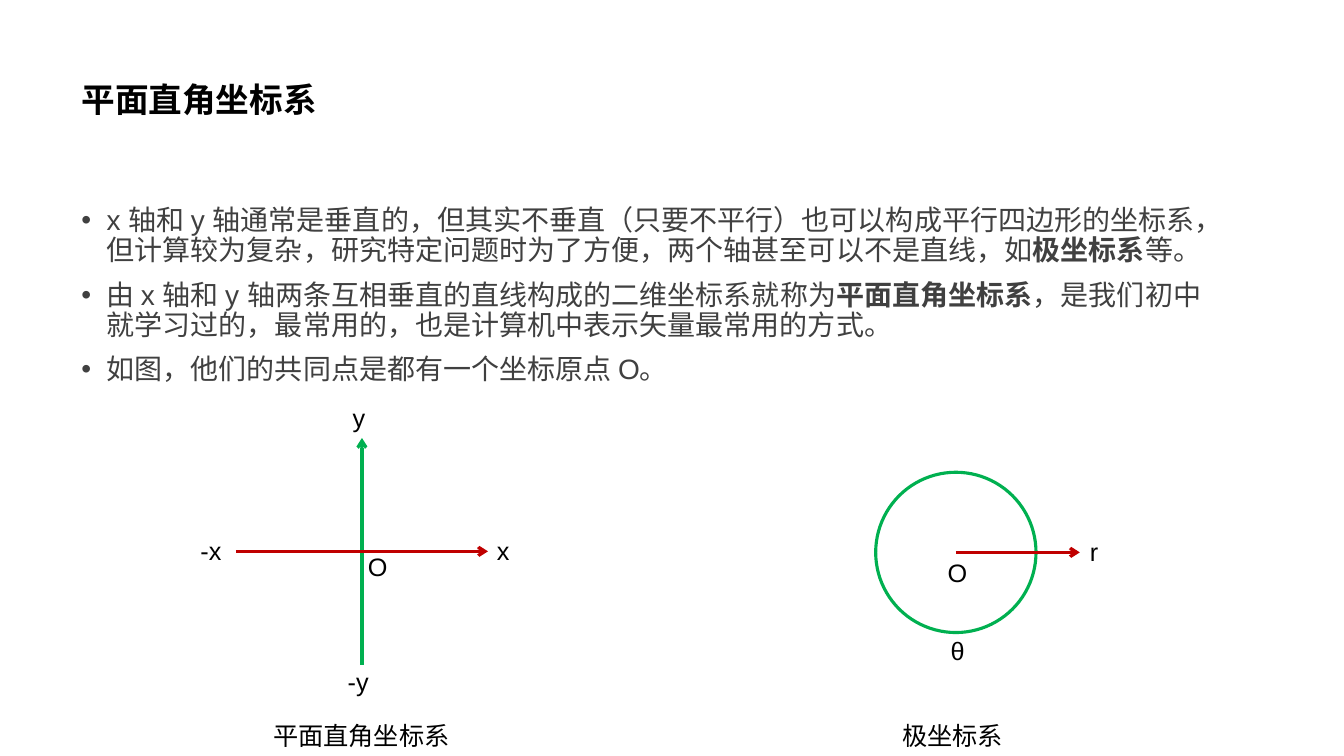
from pptx import Presentation
from pptx.util import Inches, Pt
from pptx.dml.color import RGBColor
from pptx.enum.shapes import MSO_CONNECTOR, MSO_SHAPE
from pptx.enum.text import MSO_ANCHOR
from pptx.oxml.ns import qn
from lxml import etree

STRAIGHT, ELLIPSE = MSO_CONNECTOR.STRAIGHT, MSO_SHAPE.OVAL
TOP, MIDDLE = MSO_ANCHOR.TOP, MSO_ANCHOR.MIDDLE

# Content: paragraphs are lists of (text, bold) runs
TITLE = "平面直角坐标系"
BULLETS = [
    [("x 轴和 y 轴通常是垂直的，但其实不垂直（只要不平行）也可以构成平行四边形的坐标系，"
      "但计算较为复杂，研究特定问题时为了方便，两个轴甚至可以不是直线，如", False),
     ("极坐标系", True), ("等。", False)],
    [("由 x 轴和 y 轴两条互相垂直的直线构成的二维坐标系就称为", False),
     ("平面直角坐标系", True),
     ("，是我们初中就学习过的，最常用的，也是计算机中表示矢量最常用的方式。", False)],
    [("如图，他们的共同点是都有一个坐标原点 O。", False)],
]
# Labels: text, left, top, width
LABELS = [
    ("-x", 1.89, 5.26, 0.46), ("x", 4.83, 5.26, 0.33),
    ("y", 3.4, 3.94, 0.35), ("-y", 3.35, 6.56, 0.47),
    ("O", 3.55, 5.42, 0.39), ("平面直角坐标系", 2.61, 7.1, 1.95),
    ("r", 10.71, 5.27, 0.32), ("θ", 9.33, 6.25, 0.34),
    ("O", 9.3, 5.48, 0.39), ("极坐标系", 8.85, 7.1, 1.2),
]
LABEL_H = 0.4
THEME = {
    "font": "Arial", "title": 24, "body": 20, "label": 18, "line": 2.25,
    "black": RGBColor(0x00, 0x00, 0x00), "grey": RGBColor(0x40, 0x40, 0x40),
    "green": RGBColor(0x00, 0xB0, 0x50), "red": RGBColor(0xC0, 0x00, 0x00),
}

# Geometry of the two diagrams
CROSS_X, CROSS_Y = 3.59, 5.47
HALF_X, HALF_Y = 1.25, 1.125
POLE_X, POLE_Y, RADIUS = 9.48, 5.48, 0.795
RAY_END = 10.71

prs = Presentation()
prs.slide_width, prs.slide_height = Inches(13.33), Inches(7.5)
s = prs.slides.add_slide(prs.slide_layouts[6])


def add_text(box, paragraphs, size, color, anchor=TOP, wrap=True, spacing=None, bullets=False):
    tf = s.shapes.add_textbox(*[Inches(v) for v in box]).text_frame
    tf.word_wrap, tf.vertical_anchor = wrap, anchor
    for i, runs in enumerate(paragraphs):
        p = tf.add_paragraph() if i else tf.paragraphs[0]
        if spacing:
            p.line_spacing = spacing
        if bullets:
            if i:
                p.space_before = Pt(10)
            pPr = p._p.get_or_add_pPr()
            pPr.set("marL", str(Inches(0.25)))
            pPr.set("indent", str(-Inches(0.25)))
            etree.SubElement(pPr, qn("a:buFont"), typeface=THEME["font"])
            etree.SubElement(pPr, qn("a:buChar"), char="•")
        for text, bold in runs:
            r = p.add_run()
            r.text = text
            r.font.name, r.font.size = THEME["font"], Pt(THEME[size])
            r.font.bold, r.font.color.rgb = bold, THEME[color]


def add_arrow(x1, y1, x2, y2, color):
    c = s.shapes.add_connector(STRAIGHT, Inches(x1), Inches(y1), Inches(x2), Inches(y2))
    c.line.color.rgb, c.line.width = THEME[color], Pt(THEME["line"])
    etree.SubElement(c.line._get_or_add_ln(), qn("a:tailEnd"), type="arrow")
    etree.SubElement(c._element.spPr, qn("a:effectLst"))


# Title and bullets
add_text((0.71, 0.28, 11.5, 1.45), [[(TITLE, True)]], "title", "black", MIDDLE, spacing=0.9)
add_text((0.71, 2, 11.5, 4.76), BULLETS, "body", "grey", spacing=0.9, bullets=True)

# Cartesian axes
add_arrow(CROSS_X, CROSS_Y + HALF_Y, CROSS_X, CROSS_Y - HALF_Y, "green")
add_arrow(CROSS_X - HALF_X, CROSS_Y, CROSS_X + HALF_X, CROSS_Y, "red")

# Polar circle and ray
circle = s.shapes.add_shape(ELLIPSE, Inches(POLE_X - RADIUS), Inches(POLE_Y - RADIUS),
                            Inches(2 * RADIUS), Inches(2 * RADIUS))
circle.shadow.inherit = False
circle.fill.background()
circle.line.color.rgb, circle.line.width = THEME["green"], Pt(THEME["line"])
add_arrow(POLE_X, POLE_Y, RAY_END, POLE_Y, "red")

# Axis labels and captions
for text, left, top, width in LABELS:
    add_text((left, top, width, LABEL_H), [[(text, False)]], "label", "black", wrap=False)

prs.save("out.pptx")
